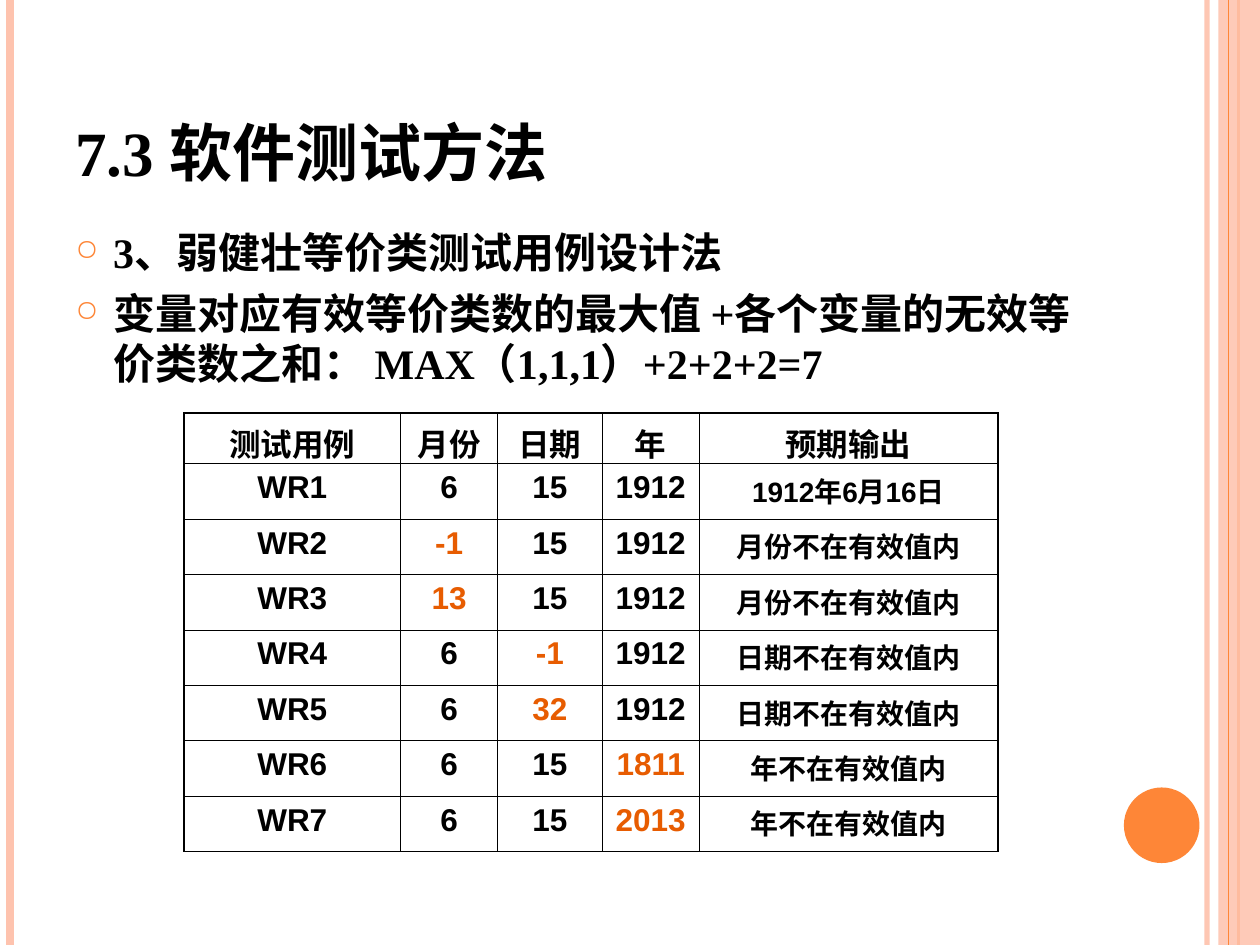
"""Build the slide on weak robust equivalence class test cases."""
from lxml.etree import SubElement
from pptx import Presentation
from pptx.dml.color import RGBColor
from pptx.enum.shapes import MSO_CONNECTOR, MSO_SHAPE
from pptx.enum.text import MSO_ANCHOR, PP_ALIGN
from pptx.oxml.ns import qn
from pptx.util import Inches, Pt

BLACK = RGBColor(0x00, 0x00, 0x00)
PEACH = RGBColor(0xFE, 0xC3, 0xAE)
ORANGE = RGBColor(0xFE, 0x86, 0x37)
ALERT = RGBColor(0xE7, 0x5C, 0x01)

TITLE = "7.3 软件测试方法"
POINTS = [
    "3、弱健壮等价类测试用例设计法",
    "变量对应有效等价类数的最大值 +各个变量的无效等价类数之和： MAX（1,1,1）+2+2+2=7",
]
HEADS = ["测试用例", "月份", "日期", "年", "预期输出"]
VALID = ["6", "15", "1912"]
CASES = [
    ["WR1", "6", "15", "1912", "1912年6月16日"],
    ["WR2", "-1", "15", "1912", "月份不在有效值内"],
    ["WR3", "13", "15", "1912", "月份不在有效值内"],
    ["WR4", "6", "-1", "1912", "日期不在有效值内"],
    ["WR5", "6", "32", "1912", "日期不在有效值内"],
    ["WR6", "6", "15", "1811", "年不在有效值内"],
    ["WR7", "6", "15", "2013", "年不在有效值内"],
]
WIDTHS = [1.72, 0.77, 0.83, 0.77, 2.37]
HEIGHTS = [0.4] + [0.44] * len(CASES)
THIN, THICK = 0.45, 1.08
BACK_RULES = [(9.58, PEACH, 3, 93), (0.08, PEACH, 4.5, 100), (9.83, ORANGE, 1.5, 100)]
FRONT_RULES = [(9.75, ORANGE, 0.75, 100)]


def fade(shape, percent):
    color = next(shape._element.spPr.iter(qn("a:srgbClr")))
    SubElement(color, qn("a:alpha"), val=str(percent * 1000))


def add_rule(slide, left, color, width, percent):
    rule = slide.shapes.add_connector(
        MSO_CONNECTOR.STRAIGHT, Inches(left), 0, Inches(left), Inches(7.5))
    rule.line.color.rgb = color
    rule.line.width = Pt(width)
    if percent < 100:
        fade(rule, percent)
    SubElement(rule._element.spPr, qn("a:effectLst"))


def add_block(slide, kind, box, color):
    block = slide.shapes.add_shape(kind, *map(Inches, box))
    block.shadow.inherit = False
    block.fill.solid()
    block.fill.fore_color.rgb = color
    block.line.fill.background()
    return block


def style(para, size, face, color=BLACK):
    for run in para.runs:
        run.font.size = Pt(size)
        run.font.name = face
        run.font.bold = True
        run.font.color.rgb = color


def add_frame(slide, box):
    frame = slide.shapes.add_textbox(*map(Inches, box)).text_frame
    frame.word_wrap = True
    return frame


def add_bullet(para):
    props = para._p.get_or_add_pPr()
    props.set("marL", str(Inches(0.3)))
    props.set("indent", str(-Inches(0.3)))
    color = SubElement(props, qn("a:buClr"))
    SubElement(color, qn("a:srgbClr"), val=str(ORANGE))
    SubElement(props, qn("a:buSzPct"), val="70000")
    SubElement(props, qn("a:buChar"), char="○")


def add_border(cell, side, width):
    line = SubElement(cell._tc.get_or_add_tcPr(), qn("a:ln" + side), w=str(Pt(width)))
    fill = SubElement(line, qn("a:solidFill"))
    SubElement(fill, qn("a:srgbClr"), val=str(BLACK))


def add_cases(slide):
    rows = [HEADS] + CASES
    last, end = len(rows) - 1, len(HEADS) - 1
    table = slide.shapes.add_table(
        len(rows), len(HEADS), Inches(1.46), Inches(3.28),
        Inches(sum(WIDTHS)), Inches(sum(HEIGHTS))).table
    table.first_row = table.horz_banding = False
    for column, width in zip(table.columns, WIDTHS):
        column.width = Inches(width)
    for i, (texts, height) in enumerate(zip(rows, HEIGHTS)):
        table.rows[i].height = Inches(height)
        for j, text in enumerate(texts):
            cell = table.cell(i, j)
            outer = {"L": j == 0, "R": j == end, "T": i == 0,
                     "B": i == last and j != 1}
            for side, edge in outer.items():
                add_border(cell, side, THICK if edge else THIN)
            cell.fill.background()
            cell.text_frame.text = text
            para = cell.text_frame.paragraphs[0]
            para.alignment = PP_ALIGN.CENTER
            wrong = i > 0 and 0 < j < end and text != VALID[j - 1]
            size = 16 if i > 0 and j == end else 18
            style(para, size, "Arial", ALERT if wrong else BLACK)


def main():
    deck = Presentation()
    deck.slide_width, deck.slide_height = Inches(10), Inches(7.5)
    slide = deck.slides.add_slide(deck.slide_layouts[6])

    for rule in BACK_RULES:
        add_rule(slide, *rule)
    fade(add_block(slide, MSO_SHAPE.RECTANGLE, (9.67, 0, 0.33, 7.5), PEACH), 87)
    for rule in FRONT_RULES:
        add_rule(slide, *rule)
    add_block(slide, MSO_SHAPE.OVAL, (8.92, 6.25, 0.6, 0.6), ORANGE)

    title = add_frame(slide, (0.5, 0.3, 8.17, 1.25))
    title.vertical_anchor = MSO_ANCHOR.BOTTOM
    title.text = TITLE
    style(title.paragraphs[0], 36, "Times New Roman")

    body = add_frame(slide, (0.5, 1.75, 8.17, 5.33))
    body.text = "\n".join(POINTS)
    for i, para in enumerate(body.paragraphs):
        add_bullet(para)
        if i:
            para.space_before = Pt(6)
        style(para, 24, "Times New Roman")

    add_cases(slide)
    deck.save("out.pptx")


if __name__ == "__main__":
    main()
